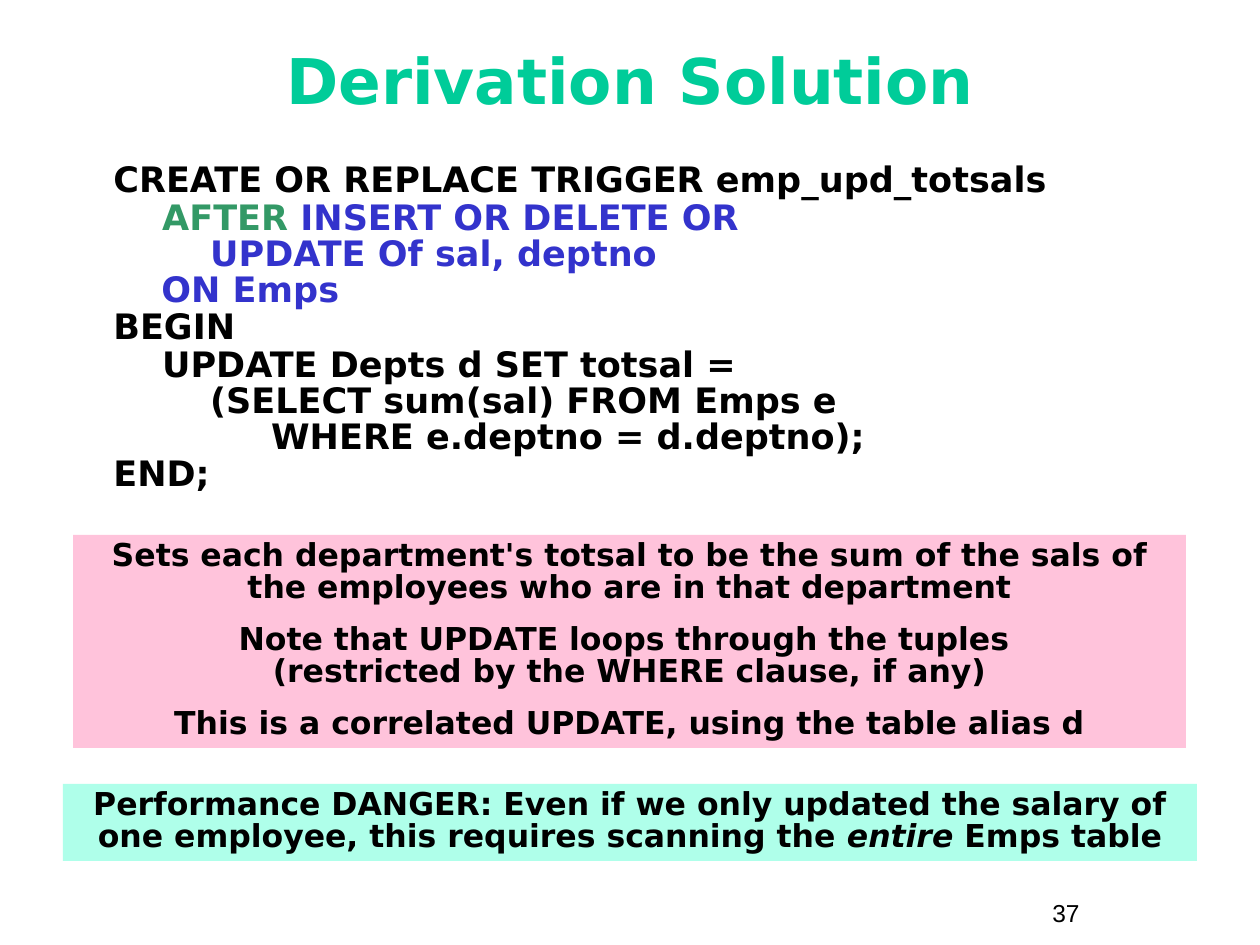
import pptx
import pptx.dml.color
import pptx.enum.shapes
import pptx.enum.text
import pptx.util

COLORS = {
    "title": "00CC99",
    "text": "000000",
    "timing": "339966",
    "event": "3333CC",
    "effect": "FFC3DB",
    "danger": "AFFFEA",
}
ALIGN = pptx.enum.text.PP_ALIGN
ANCHOR = pptx.enum.text.MSO_ANCHOR


class SlideBuilder:
    """Holds the text style and the current slide, and adds elements in px."""

    scale = 914400 / 126
    font = "DejaVu Sans"
    line_spacing = 0.85

    def __init__(self, width, height):
        self.deck = pptx.Presentation()
        self.deck.slide_width = self.emu(width)
        self.deck.slide_height = self.emu(height)
        self.slide = self.deck.slides.add_slide(self.deck.slide_layouts[6])

    def emu(self, px):
        return pptx.util.Emu(round(px * self.scale))

    def color(self, name):
        return pptx.dml.color.RGBColor.from_string(COLORS[name])

    def add_segments(self, paragraph, segments, size, font=None, bold=True):
        for text, color, italic in segments:
            for number, line in enumerate(text.split("\n")):
                if number:
                    paragraph.add_line_break()
                run = paragraph.add_run()
                run.text = line
                run.font.name = font or self.font
                run.font.size = pptx.util.Pt(size)
                run.font.bold = bold
                run.font.italic = italic
                run.font.color.rgb = self.color(color)

    def fill_frame(self, frame, paragraphs, size, space, align, hanging=0):
        frame.word_wrap = True
        for number, segments in enumerate(paragraphs):
            paragraph = frame.add_paragraph() if number else frame.paragraphs[0]
            paragraph.alignment = align
            paragraph.line_spacing = self.line_spacing
            if number:
                paragraph.space_before = pptx.util.Pt(space)
            if hanging:
                properties = paragraph._p.get_or_add_pPr()
                properties.set("marL", str(self.emu(hanging)))
                properties.set("indent", str(-self.emu(hanging)))
            self.add_segments(paragraph, segments, size)

    def label(self, box, text, size, color="text", align=ALIGN.LEFT,
              anchor=ANCHOR.TOP, font=None, bold=True):
        frame = self.slide.shapes.add_textbox(*map(self.emu, box)).text_frame
        frame.word_wrap = True
        frame.vertical_anchor = anchor
        frame.paragraphs[0].alignment = align
        self.add_segments(frame.paragraphs[0], [(text, color, False)], size,
                          font, bold)

    def code(self, box, paragraphs):
        frame = self.slide.shapes.add_textbox(*map(self.emu, box)).text_frame
        self.fill_frame(frame, paragraphs, 20, 1.2, ALIGN.LEFT, hanging=48)

    def note(self, box, fill, paragraphs):
        panel = self.slide.shapes.add_shape(
            pptx.enum.shapes.MSO_SHAPE.RECTANGLE, *map(self.emu, box))
        panel.shadow.inherit = False
        panel.fill.solid()
        panel.fill.fore_color.rgb = self.color(fill)
        panel.line.fill.background()
        panel.text_frame.vertical_anchor = ANCHOR.TOP
        self.fill_frame(panel.text_frame, paragraphs, 18, 11.2, ALIGN.CENTER)


def plain(text):
    return [(text, "text", False)]


def main():
    builder = SlideBuilder(1260, 945)
    builder.label((1040, 892, 116, 43), "37", 14, font="Arial", bold=False)
    builder.label((42, 21, 1176, 116), "Derivation Solution", 36, "title",
                  ALIGN.CENTER, ANCHOR.MIDDLE)
    builder.code((101, 158, 1071, 420), [
        plain("CREATE OR REPLACE TRIGGER emp_upd_totsals"),
        [
            ("    ", "text", False),
            ("AFTER ", "timing", False),
            ("INSERT OR DELETE OR \n    UPDATE Of sal, deptno \nON Emps",
             "event", False),
        ],
        plain("BEGIN"),
        plain("    UPDATE Depts d SET totsal =\n"
              "    (SELECT sum(sal) FROM Emps e\n"
              "         WHERE e.deptno = d.deptno);"),
        plain("END;"),
    ])
    builder.note((73, 535, 1113, 213), "effect", [
        plain("Sets each department's totsal to be the sum of the sals of "
              "the employees who are in that department"),
        plain("Note that UPDATE loops through the tuples \n"
              "(restricted by the WHERE clause, if any)"),
        plain("This is a correlated UPDATE, using the table alias d"),
    ])
    builder.note((63, 784, 1134, 77), "danger", [[
        ("Performance DANGER: Even if we only updated the salary of "
         "one employee, this requires scanning the ", "text", False),
        ("entire", "text", True),
        (" Emps table", "text", False),
    ]])
    builder.deck.save("out.pptx")


if __name__ == "__main__":
    main()
